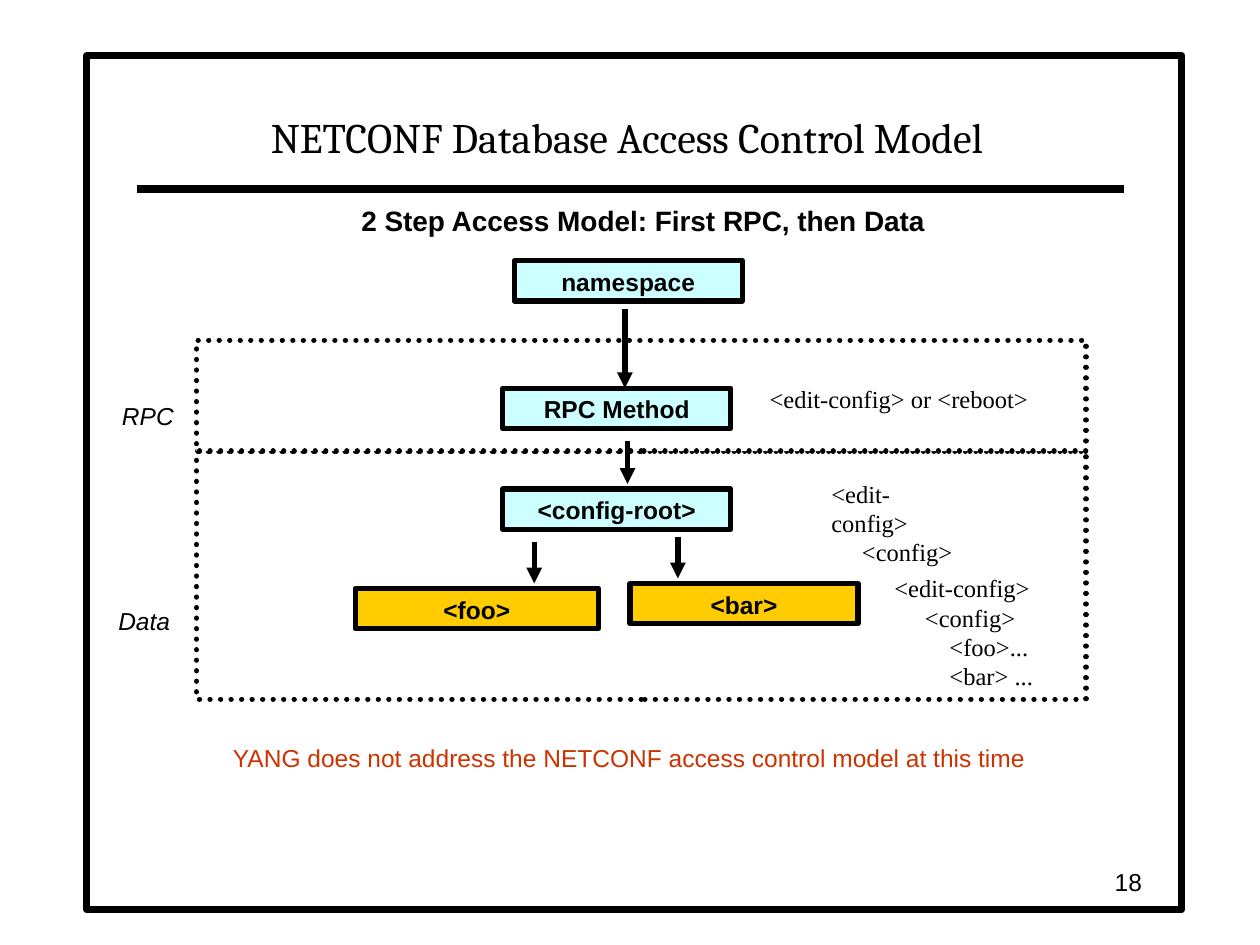
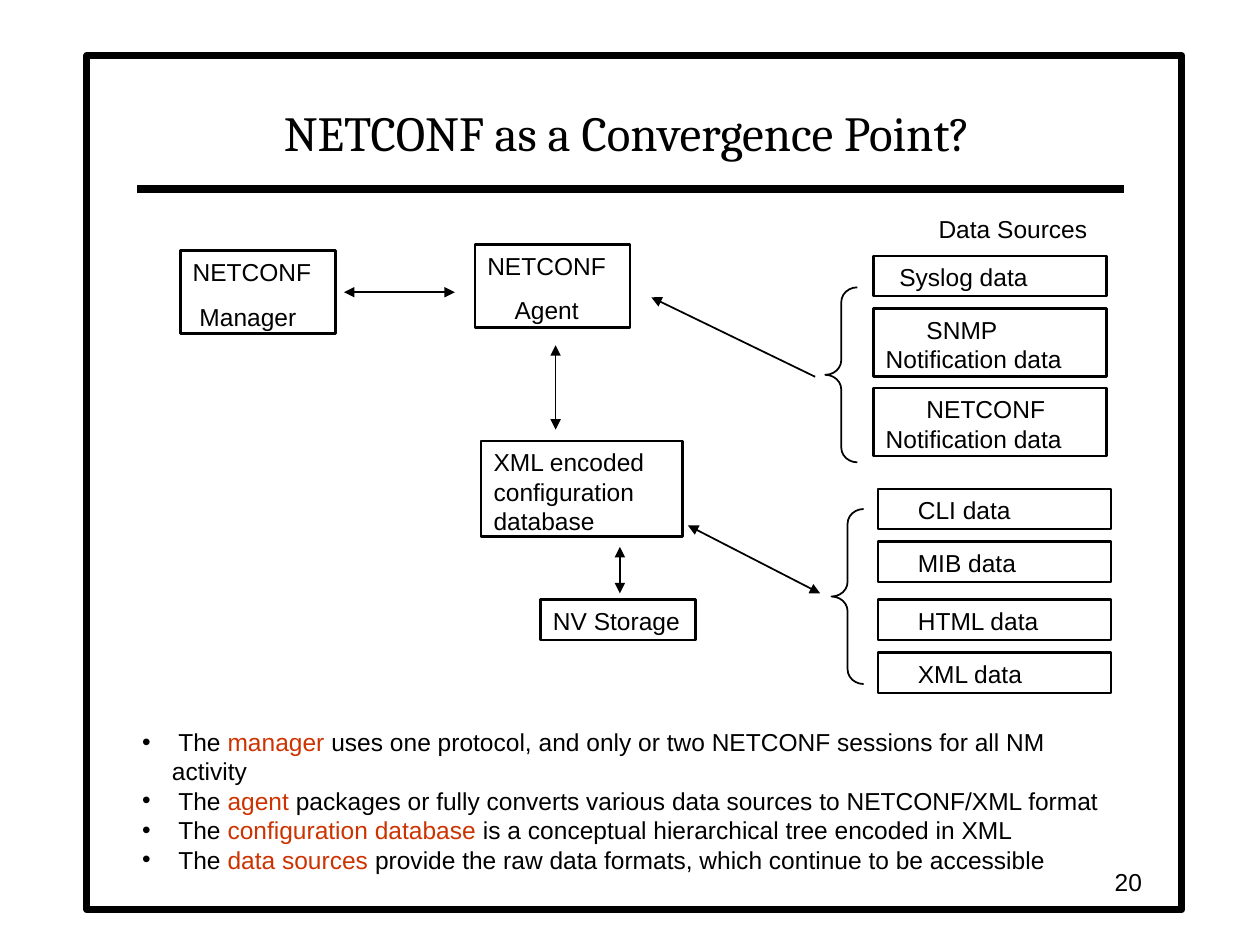
from dataclasses import dataclass

from lxml import etree
from pptx import Presentation
from pptx.dml.color import RGBColor
from pptx.enum.dml import MSO_LINE
from pptx.enum.shapes import MSO_CONNECTOR, MSO_SHAPE
from pptx.enum.text import MSO_ANCHOR, MSO_AUTO_SIZE, PP_ALIGN
from pptx.oxml.ns import qn
from pptx.util import Pt

RECTANGLE, LEFT_BRACE = MSO_SHAPE.RECTANGLE, MSO_SHAPE.LEFT_BRACE
STRAIGHT = MSO_CONNECTOR.STRAIGHT
DOTTED = MSO_LINE.ROUND_DOT
LEFT, CENTER, RIGHT = PP_ALIGN.LEFT, PP_ALIGN.CENTER, PP_ALIGN.RIGHT
TOP, MIDDLE, BOTTOM = MSO_ANCHOR.TOP, MSO_ANCHOR.MIDDLE, MSO_ANCHOR.BOTTOM
FIT_SHAPE = MSO_AUTO_SIZE.SHAPE_TO_FIT_TEXT

COLORS = {
    "ink": "000000",
    "paper": "FFFFFF",
    "step": "CCFFFF",
    "data": "FFCC00",
    "accent": "CC3300",
}
SANS, SERIF, TITLE_FONT = "Arial", "Times New Roman", "Cambria"
BODY_SIZE = 14
BOX_SPACING = 8.7
BULLET_HANG = 17
LINE_HEIGHT = 23


@dataclass(frozen=True)
class Area:
    left: float
    top: float
    width: float
    height: float = LINE_HEIGHT

    def lengths(self) -> list:
        return [Pt(value) for value in (self.left, self.top, self.width, self.height)]


@dataclass(frozen=True)
class Style:
    font: str = SANS
    size: float = BODY_SIZE
    color: str = "ink"
    bold: bool = False
    italic: bool = False
    align: PP_ALIGN = LEFT
    anchor: MSO_ANCHOR = TOP
    space_before: float = 0
    wrap: bool = True


@dataclass(frozen=True)
class Line:
    """One paragraph: (text, colour) runs, first-line indent and optional bullet."""
    runs: tuple
    indent: float = 0
    bullet: bool = False


@dataclass(frozen=True)
class Box:
    area: Area
    lines: tuple
    fill: str = ""


@dataclass(frozen=True)
class Arrow:
    start: tuple
    end: tuple
    head: bool = False
    tail: bool = True


STEP_STYLE = Style(bold=True, align=CENTER, space_before=BOX_SPACING)
BOX_STYLE = Style(space_before=BOX_SPACING)
LABEL_STYLE = Style(italic=True, wrap=False)
EXAMPLE_STYLE = Style(font=SERIF)


def plain(text: str, indent: float = 0) -> Line:
    return Line(((text, ""),), indent)


def color(name: str) -> RGBColor:
    return RGBColor.from_string(COLORS[name])


def write(shape, lines: tuple, style: Style, grow: bool = True) -> None:
    frame = shape.text_frame
    frame.word_wrap = style.wrap
    frame.vertical_anchor = style.anchor
    if grow:
        frame.auto_size = FIT_SHAPE
    for number, line in enumerate(lines):
        paragraph = frame.add_paragraph() if number else frame.paragraphs[0]
        paragraph.alignment = style.align
        paragraph.space_before = Pt(style.space_before)
        properties = paragraph.get_or_add_pPr() if hasattr(paragraph, "get_or_add_pPr") \
            else paragraph._p.get_or_add_pPr()
        hang = BULLET_HANG if line.bullet else 0
        properties.set("marL", str(Pt(hang)))
        properties.set("indent", str(Pt(line.indent - hang)))
        if line.bullet:
            etree.SubElement(properties, qn("a:buFont"), typeface=SANS)
            etree.SubElement(properties, qn("a:buChar"), char="•")
        for text, run_color in line.runs:
            run = paragraph.add_run()
            run.text = text
            run.font.name = style.font
            run.font.size = Pt(style.size)
            run.font.bold = style.bold
            run.font.italic = style.italic
            run.font.color.rgb = color(run_color or style.color)


def add_text(slide, area: Area, lines: tuple, style: Style, grow: bool = True) -> None:
    write(slide.shapes.add_textbox(*area.lengths()), lines, style, grow)


def add_outline(slide, area: Area, weight: float, fill: str = "", preset=RECTANGLE):
    shape = slide.shapes.add_shape(preset, *area.lengths())
    shape.shadow.inherit = False
    if fill:
        shape.fill.solid()
        shape.fill.fore_color.rgb = color(fill)
    else:
        shape.fill.background()
    shape.line.color.rgb = color("ink")
    shape.line.width = Pt(weight)
    return shape


def add_dotted_zone(slide, area: Area) -> None:
    zone = add_outline(slide, area, 3, "paper")
    zone.line.dash_style = DOTTED
    zone.line._get_or_add_ln().set("cap", "rnd")


def add_brace(slide, area: Area) -> None:
    brace = add_outline(slide, area, 1, preset=LEFT_BRACE)
    brace.adjustments[0] = 0.46


def add_box(slide, box: Box, weight: float, style: Style) -> None:
    write(add_outline(slide, box.area, weight, box.fill), box.lines, style)


def add_line(slide, arrow: Arrow, weight: float) -> None:
    points = [Pt(value) for value in arrow.start + arrow.end]
    connector = slide.shapes.add_connector(STRAIGHT, *points)
    connector.line.color.rgb = color("ink")
    connector.line.width = Pt(weight)
    outline = connector.line._get_or_add_ln()
    for tag, wanted in (("a:headEnd", arrow.head), ("a:tailEnd", arrow.tail)):
        if wanted:
            etree.SubElement(outline, qn(tag), type="triangle")
    etree.SubElement(outline.getparent(), qn("a:effectLst"))


def start_slide(presentation, title: str, title_size: float, number: int):
    """Add a blank slide with the shared frame, rule, title and page number."""
    slide = presentation.slides.add_slide(presentation.slide_layouts[6])
    add_outline(slide, Area(49.7, 31.7, 625.7, 488.2), 4, "paper")
    add_line(slide, Arrow((78.5, 108), (642.2, 108), tail=False), 4.5)
    add_text(slide, Area(77.8, 41.8, 560.9, 54), (plain(title),),
             Style(TITLE_FONT, title_size, align=CENTER, anchor=BOTTOM))
    add_text(slide, Area(509.8, 491.8, 149.8, 23.8), (plain(str(number)),),
             Style(align=RIGHT, anchor=MIDDLE), grow=False)
    return slide


def build_access_control(presentation) -> None:
    slide = start_slide(presentation, "NETCONF Database Access Control Model", 24, 18)
    for top, height in ((257.8, 141.8), (194.4, 63.4)):
        add_dotted_zone(slide, Area(112.3, top, 508.3, height))

    add_text(slide, Area(199.4, 113, 350.6, 25.2),
             (plain("2 Step Access Model: First RPC, then Data"),),
             Style(size=16, bold=True))
    for left, top, width, text, fill in (
        (293.8, 149, 130.3, "namespace", "step"),
        (287.3, 221.8, 130.3, "RPC Method", "step"),
        (287.3, 279.4, 130.3, "<config-root>", "step"),
        (203, 336.2, 139, "<foo>", "data"),
        (360, 333.4, 130.3, "<bar>", "data"),
    ):
        add_box(slide, Box(Area(left, top, width), (plain(text),), fill), 3, STEP_STYLE)
    for x, top, bottom in (
        (357.1, 176.4, 221.8),
        (358.6, 252, 276.5),
        (387.4, 306.7, 330.5),
        (305.3, 309.6, 333.4),
    ):
        add_line(slide, Arrow((x, top), (x, bottom)), 3)

    add_text(slide, Area(62.6, 225.4, 43.9), (plain("RPC"),), LABEL_STYLE)
    add_text(slide, Area(60.5, 342.7, 43.9), (plain("Data"),), LABEL_STYLE)

    edit_config = (plain("<edit-config>"), plain("<config>", 17.5))
    children = (plain("<foo>...", 31.5), plain("<bar> ...", 31.5))
    add_text(slide, Area(432.7, 216, 162.7, 22.3), (plain("<edit-config> or <reboot>"),),
             Style(font=SERIF, wrap=False))
    add_text(slide, Area(468, 270, 91.4, 53.3), edit_config, EXAMPLE_STYLE)
    add_text(slide, Area(504, 324, 108, 69), edit_config + children, EXAMPLE_STYLE)
    add_text(slide, Area(126, 421.2, 468.7),
             (plain("YANG does not address the NETCONF access control model at this time"),),
             Style(color="accent", wrap=False))


def build_convergence(presentation) -> None:
    slide = start_slide(presentation, "NETCONF as a Convergence Point?", 28, 20)
    boxes = [
        Box(Area(103, 143.3, 88.6, 47.5), (plain("NETCONF"), plain("Manager", 3.9))),
        Box(Area(271.4, 139.7, 88.6, 47.5), (plain("NETCONF"), plain("Agent", 15.6))),
        Box(Area(275, 252, 115.2, 54.7), (plain("XML encoded configuration database"),)),
        Box(Area(308.9, 342.7, 88.6), (plain("NV Storage"),)),
    ]
    for left, top, height, text, indent in (
        (499, 146.2, LINE_HEIGHT, "Syslog data", 7.8),
        (499, 176.4, 38.9, "SNMP Notification data", 23.3),
        (499, 221.8, 38.9, "NETCONF Notification data", 23.3),
        (501.8, 279.4, LINE_HEIGHT, "CLI data", 15.6),
        (501.8, 309.6, LINE_HEIGHT, "MIB data", 15.6),
        (501.8, 342.7, LINE_HEIGHT, "HTML data", 15.6),
        (501.8, 373, LINE_HEIGHT, "XML data", 15.6),
    ):
        boxes.append(Box(Area(left, top, 133.2, height), (plain(text, indent),)))
    for box in boxes:
        add_box(slide, box, 1.5, BOX_STYLE)

    for left, top in ((471.6, 164.2), (475.2, 290.9)):
        add_brace(slide, Area(left, top, 18.3, 100))
    for arrow in (
        Arrow((196.6, 167), (259.9, 167), head=True),
        Arrow((372.2, 169.9), (465.8, 215.3), head=True, tail=False),
        Arrow((468.7, 339.1), (393.1, 300.2), head=True),
        Arrow((354.2, 339.1), (354.2, 312.5), head=True),
        Arrow((317.5, 245.5), (317.5, 197.3), head=True),
    ):
        add_line(slide, arrow, 1)

    add_text(slide, Area(529.2, 118.8, 99.4), (plain("Data Sources"),), Style(wrap=False))
    points = (
        ("manager", " uses one protocol, and only or two NETCONF sessions for all NM activity"),
        ("agent", " packages or fully converts various data sources to NETCONF/XML format"),
        ("configuration database", " is a conceptual hierarchical tree encoded in XML"),
        ("data sources", " provide the raw data formats, which continue to be accessible"),
    )
    add_text(slide, Area(74.2, 411.8, 571.7, 70.6),
             tuple(Line(((" The ", ""), (term, "accent"), (rest, "")), bullet=True)
                   for term, rest in points),
             Style())


def main() -> None:
    presentation = Presentation()
    presentation.slide_width, presentation.slide_height = Pt(720), Pt(540)
    build_access_control(presentation)
    build_convergence(presentation)
    presentation.save("out.pptx")


if __name__ == "__main__":
    main()
